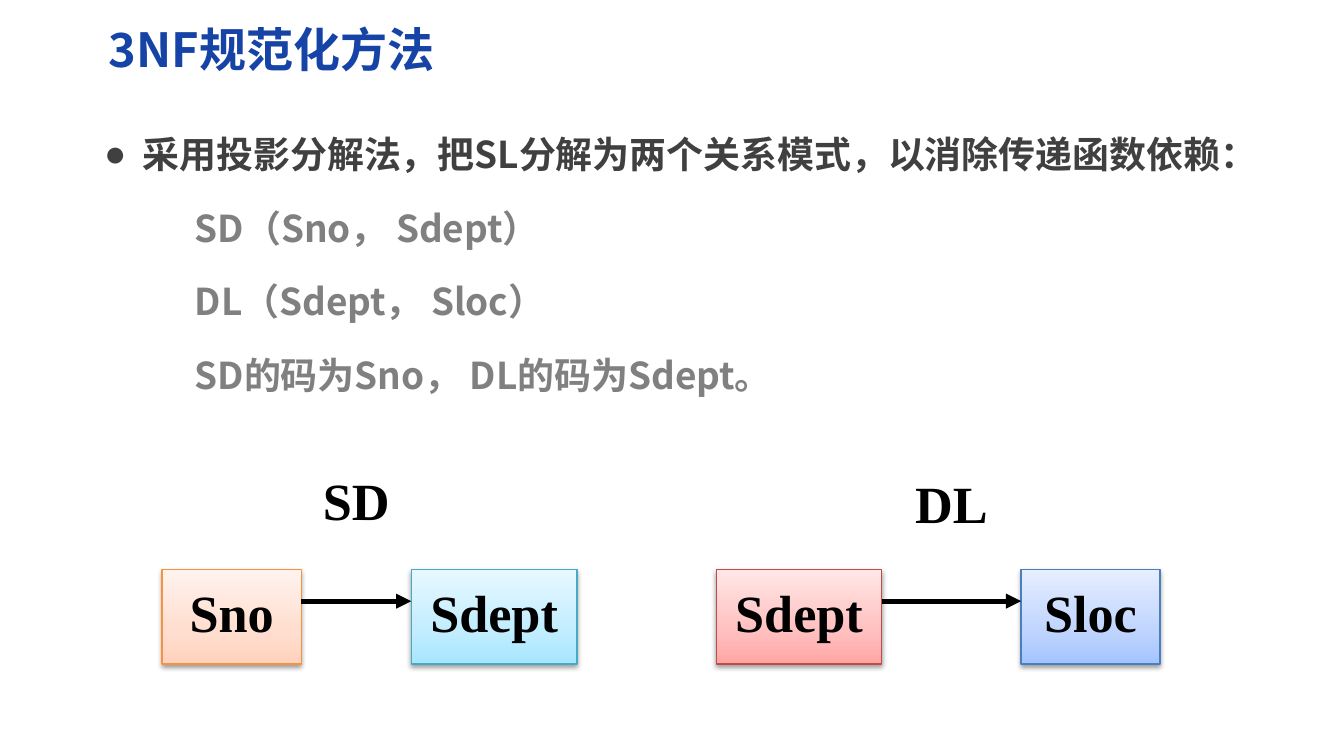
"""Build the slide on decomposing SL into SD and DL for third normal form."""
import copy

import lxml.etree
import pptx
import pptx.dml.color
import pptx.enum.shapes
import pptx.enum.text
import pptx.oxml
import pptx.oxml.ns
import pptx.util

SANS, SERIF = "Noto Sans CJK SC", "Times New Roman"
color = pptx.dml.color.RGBColor.from_string
name = pptx.oxml.ns.qn
align = pptx.enum.text.PP_ALIGN
anchor = pptx.enum.text.MSO_ANCHOR

deck = pptx.Presentation()
deck.slide_width = pptx.util.Inches(11.11)
deck.slide_height = pptx.util.Inches(6.25)
page = deck.slides.add_slide(deck.slide_layouts[1])


def place(left, top, width, height):
    """Turn percentages of the slide's size into lengths."""
    column, row = deck.slide_width / 100, deck.slide_height / 100
    return [int(left * column), int(top * row), int(width * column), int(height * row)]


def write(para, text, size, typeface, ink, alignment):
    """Fill a paragraph with bold text in one style."""
    para.text = text
    para.alignment = alignment
    para.font.size = pptx.util.Pt(size)
    para.font.bold = True
    para.font.name = typeface
    para.font.color.rgb = color(ink)
    settings = para._p.pPr.find(name("a:defRPr"))
    lxml.etree.SubElement(settings, name("a:ea"), typeface=typeface)


title = page.shapes.title
title.left, title.top, title.width, title.height = place(7.11, 1.92, 88.3, 9.12)
title.text_frame.vertical_anchor = anchor.MIDDLE
title.text_frame.margin_left = pptx.util.Inches(0.11)
write(title.text_frame.paragraphs[0], "3NF规范化方法", 28, SANS, "1543A6", align.LEFT)

body = page.placeholders[1]
body.left, body.top, body.width, body.height = place(6.75, 13.44, 88.57, 75.52)
frame = body.text_frame
frame.margin_left = pptx.util.Inches(0.11)
frame.margin_top = frame.margin_right = 0
lines = [
    ("采用投影分解法，把SL分解为两个关系模式，以消除传递函数依赖：", "404040", 0.32, -0.32, "●"),
    ("SD（Sno， Sdept）", "808080", 0.75, 0, None),
    ("DL（Sdept， Sloc）", "808080", 0.75, 0, None),
    ("SD的码为Sno， DL的码为Sdept。", "808080", 0.75, 0, None),
]
for index, (text, ink, margin, indent, bullet) in enumerate(lines):
    para = frame.paragraphs[0] if index == 0 else frame.add_paragraph()
    para.line_spacing = pptx.util.Pt(44)
    para.space_before = pptx.util.Pt(0)
    settings = para._p.get_or_add_pPr()
    settings.set("marL", str(pptx.util.Inches(margin)))
    settings.set("indent", str(pptx.util.Inches(indent)))
    if bullet:
        lxml.etree.SubElement(settings, name("a:buChar"), char=bullet)
    else:
        lxml.etree.SubElement(settings, name("a:buNone"))
    write(para, text, 22, SANS, ink, align.LEFT)

BOX_TOP, BOX_HEIGHT, ARROW_TOP, LABEL_WIDTH = 75.36, 12.48, 79.52, 8.19
ORANGE = ("F69240", "FFD2BD", "FFDED0", "FFF2ED")
CYAN = ("46AAC5", "A7E6FF", "C1EDFF", "E7F8FF")
RED = ("BF4C48", "FFA6A5", "FFC0BF", "FFE7E7")
BLUE = ("4B7EBC", "A4C4FF", "BFD4FF", "E6EEFF")
relations = [
    ("SD", 60.48, ("Sno", 12.06, 10.35, ORANGE), ("Sdept", 30.6, 12.33, CYAN)),
    ("DL", 60.96, ("Sdept", 53.29, 12.33, RED), ("Sloc", 75.97, 10.35, BLUE)),
]
shadow_xml = (
    '<a:outerShdw xmlns:a="http://schemas.openxmlformats.org/drawingml/2006/main"'
    ' blurRad="39370" dist="20320" dir="5400000" rotWithShape="0">'
    '<a:srgbClr val="000000"><a:alpha val="38000"/></a:srgbClr></a:outerShdw>'
)

for relation, label_top, key, dependent in relations:
    start, end = key[1] + key[2], dependent[1]
    label = page.shapes.add_textbox(
        *place((start + end - LABEL_WIDTH) / 2, label_top, LABEL_WIDTH, BOX_HEIGHT))
    captions = [(label, relation)]

    for text, left, width, (edge, *shades) in (key, dependent):
        box = page.shapes.add_shape(
            pptx.enum.shapes.MSO_SHAPE.RECTANGLE, *place(left, BOX_TOP, width, BOX_HEIGHT))
        box.line.color.rgb = color(edge)
        box.line.width = pptx.util.Pt(0.75)
        box.fill.gradient()
        box.fill.gradient_angle = 90
        stops = box._element.spPr.find(".//" + name("a:gsLst"))
        stops.insert(1, copy.deepcopy(stops[0]))
        for stop, shade, position in zip(box.fill.gradient_stops, shades, (0, 0.35, 1)):
            stop.color.rgb = color(shade)
            stop.position = position
        box.shadow.inherit = False
        effects = box._element.spPr.find(name("a:effectLst"))
        effects.append(pptx.oxml.parse_xml(shadow_xml))
        captions.append((box, text))

    for holder, text in captions:
        frame = holder.text_frame
        frame.word_wrap = True
        frame.vertical_anchor = anchor.TOP
        frame.margin_left = frame.margin_right = 0
        frame.margin_top = pptx.util.Inches(0.09)
        write(frame.paragraphs[0], text, 31.1, SERIF, "000000", align.CENTER)

    left, top, length, _ = place(start, ARROW_TOP, end - start, 0)
    arrow = page.shapes.add_connector(
        pptx.enum.shapes.MSO_CONNECTOR.STRAIGHT, left, top, left + length, top)
    arrow.line.color.rgb = color("000000")
    arrow.line.width = pptx.util.Pt(3)
    lxml.etree.SubElement(arrow.line._get_or_add_ln(), name("a:tailEnd"), type="triangle")
    lxml.etree.SubElement(arrow._element.spPr, name("a:effectLst"))

deck.save("out.pptx")
